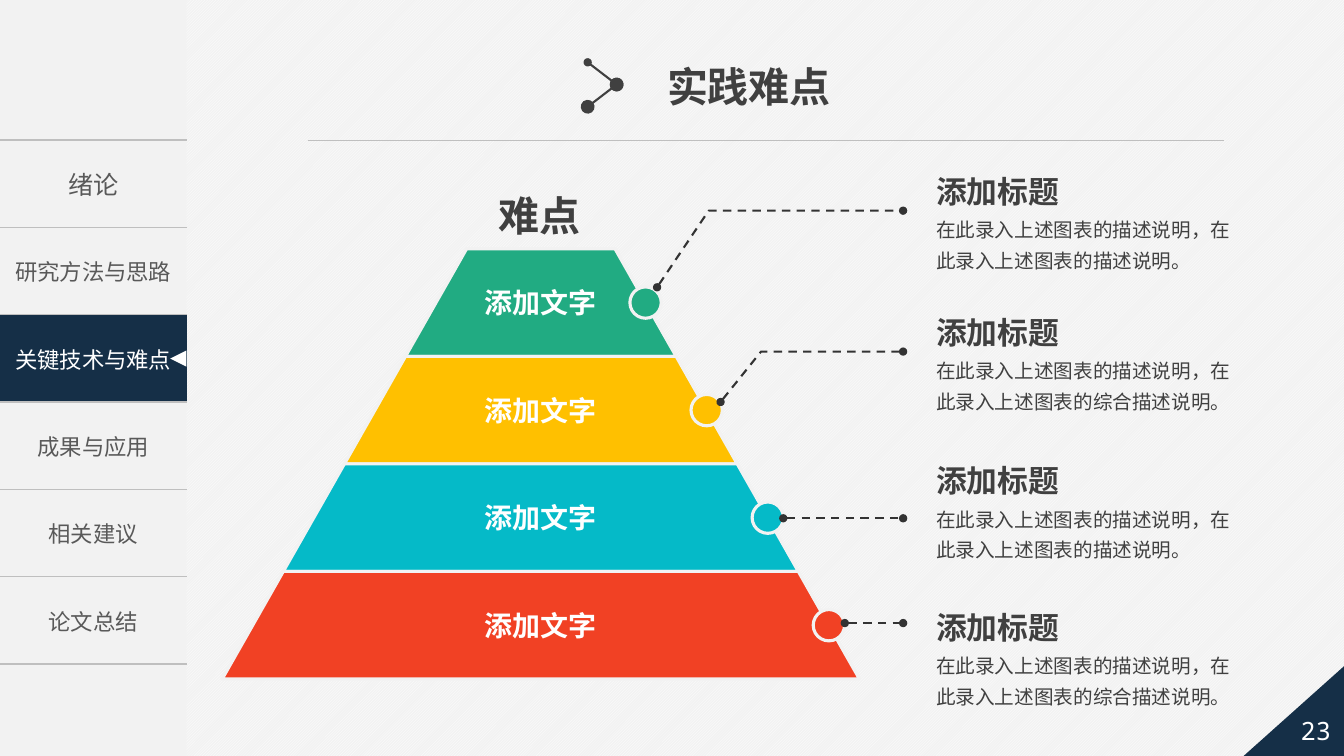
import pptx
import pptx.util
import pptx.dml.color
import pptx.enum.dml
import pptx.enum.shapes
import pptx.enum.text
import pptx.oxml
import pptx.oxml.ns

Cm, Pt = pptx.util.Cm, pptx.util.Pt
Kind = pptx.enum.shapes.MSO_SHAPE
Align = pptx.enum.text.PP_ALIGN
Middle = pptx.enum.text.MSO_ANCHOR.MIDDLE

# Content (lengths in cm)
HAN, MONO = "Noto Sans CJK SC", "Noto Sans Mono"
NAVY, PALE, WHITE, GREY, INK = "152F47", "F2F2F2", "FFFFFF", "BFBFBF", "404040"
MENU = ["绪论", "研究方法与思路", "关键技术与难点", "成果与应用", "相关建议", "论文总结"]
ACTIVE = 2
HEADS = [("实践难点", 16.56, 1.42, 4.7), ("难点", 12.32, 4.67, 2.62)]
LEVELS = [("添加文字", "21AB82"), ("添加文字", "FFC000"),
          ("添加文字", "05BAC8"), ("添加文字", "F14124")]
SHORT = "在此录入上述图表的描述说明，在此录入上述图表的描述说明。"
LONG = "在此录入上述图表的描述说明，在此录入上述图表的综合描述说明。"
NOTES = [("添加标题", SHORT, 4.22), ("添加标题", LONG, 7.77),
         ("添加标题", SHORT, 11.51), ("添加标题", LONG, 15.21)]
END = 22.76
LEADERS = [[(16.56, 7.24), (17.86, 5.31), (END, 5.31)],
           [(18.16, 10.13), (19.18, 8.86), (END, 8.86)],
           [(19.74, 13.06), (END, 13.06)],
           [(21.29, 15.7), (END, 15.7)]]
ICON = [(14.81, 1.57), (15.54, 2.13), (14.81, 2.69)]
SIDE, TOP, ROW = 4.7, 3.53, 2.2
MID, PEAK, STEP, HALF, GROW, DOT = 13.63, 6.27, 2.71, 1.87, 1.54, 0.79

deck = pptx.Presentation()
deck.slide_width, deck.slide_height = Cm(33.87), Cm(19.05)
page = deck.slides.add_slide(deck.slide_layouts[6])
shapes = page.shapes


# Helpers
def hue(code):
    return pptx.dml.color.RGBColor.from_string(code)


def node(xml):
    return pptx.oxml.parse_xml(xml.replace(">", " " + pptx.oxml.ns.nsdecls("a") + ">", 1))


def write(frame, text, size, color, bold=False, font=HAN, align=Align.LEFT, gap=None):
    para = frame.paragraphs[0]
    para.alignment = align
    if gap:
        para.line_spacing = gap
    run = para.add_run()
    run.text = text
    run.font.size, run.font.bold, run.font.name = Pt(size), bold, font
    run.font.color.rgb = hue(color)
    run.font._element.append(node(f'<a:ea typeface="{HAN}"></a:ea>'))


def label(x, y, w, h, text, size, color, wrap=True, inset=(0.25, 0.13), **style):
    frame = shapes.add_textbox(Cm(x), Cm(y), Cm(w), Cm(h)).text_frame
    frame.word_wrap = wrap
    frame.margin_left = frame.margin_right = Cm(inset[0])
    frame.margin_top = frame.margin_bottom = Cm(inset[1])
    write(frame, text, size, color, **style)
    return frame


def paint(shape, fill=None, line=None, width=2.25):
    shape.shadow.inherit = False
    if fill:
        shape.fill.solid()
        shape.fill.fore_color.rgb = hue(fill)
    else:
        shape.fill.background()
    if line:
        shape.line.color.rgb = hue(line)
        shape.line.width = Pt(width)
    else:
        shape.line.fill.background()
    return shape


def block(kind, x, y, w, h, fill, line=None):
    return paint(shapes.add_shape(kind, Cm(x), Cm(y), Cm(w), Cm(h)), fill, line)


def trace(points, close):
    first, *rest = [(Cm(x), Cm(y)) for x, y in points]
    pen = shapes.build_freeform(*first, scale=1.0)
    pen.add_line_segments(rest, close=close)
    return pen.convert_to_shape()


def link(start, end, color, width):
    line = shapes.add_connector(pptx.enum.shapes.MSO_CONNECTOR.STRAIGHT,
                                *[Cm(v) for v in start + end])
    line.line.color.rgb = hue(color)
    line.line.width = Pt(width)
    line._element.spPr.append(node("<a:effectLst></a:effectLst>"))
    return line


def cap(shape, head="med", tail="med"):
    ln = shape.line._get_or_add_ln()
    for tag, size in (("headEnd", head), ("tailEnd", tail)):
        ln.append(node(f'<a:{tag} type="oval" w="{size}" len="{size}"></a:{tag}>'))


# Background and sidebar
back = page.background.fill
back.patterned()
back.pattern = pptx.enum.dml.MSO_PATTERN.LIGHT_UPWARD_DIAGONAL
back.fore_color.rgb, back.back_color.rgb = hue(WHITE), hue(PALE)
block(Kind.RECTANGLE, 0, 0, SIDE, 19.05, PALE)

# Menu table
menu = shapes.add_table(len(MENU), 1, 0, Cm(TOP), Cm(SIDE), Cm(ROW * len(MENU))).table
menu.first_row = menu.horz_banding = False
rule = f'<a:solidFill><a:srgbClr val="{GREY}"/></a:solidFill>'
for i, name in enumerate(MENU):
    cell = menu.cell(i, 0)
    cell.vertical_anchor = Middle
    props = cell._tc.get_or_add_tcPr()
    for side in "LRTB":
        ink = rule if side in "TB" else "<a:noFill/>"
        props.append(node(f'<a:ln{side} w="12700">{ink}</a:ln{side}>'))
    if i == ACTIVE:
        cell.fill.solid()
        cell.fill.fore_color.rgb = hue(NAVY)
    else:
        cell.fill.background()
    write(cell.text_frame, name, 16 if i else 18,
          WHITE if i == ACTIVE else "595959", align=Align.CENTER)
mark = block(Kind.ISOSCELES_TRIANGLE, SIDE - 0.41, TOP + ROW * (ACTIVE + 0.5) - 0.2,
             0.41, 0.41, WHITE)
mark.rotation = 270

# Header rule and page corner
link((7.75, TOP), (30.84, TOP), GREY, 0.5)
fold = block(Kind.RIGHT_TRIANGLE, 31.32, 16.71, 2.64, 2.36, NAVY)
fold._element.spPr.xfrm.set("flipH", "1")
label(32.46, 17.7, 1.4, 1.4, "23", 18, WHITE, wrap=False, inset=(0, 0.13),
      font=MONO, align=Align.CENTER).vertical_anchor = Middle

# Pyramid bands, then their labels and dots
for i, (text, color) in enumerate(LEVELS):
    y, a, b = PEAK + STEP * i, HALF + GROW * i, HALF + GROW * (i + 1)
    band = trace([(MID - a, y), (MID - b, y + STEP), (MID + b, y + STEP), (MID + a, y)], True)
    paint(band, color, PALE)
for i, (text, color) in enumerate(LEVELS):
    y, edge = PEAK + STEP * (i + 0.5), MID + HALF + GROW * (i + 0.5)
    label(MID - 2.6, y - 0.51, 5.2, 1.02, text, 20, WHITE, inset=(0.18, 0.08),
          bold=True, align=Align.CENTER)
    block(Kind.OVAL, edge - DOT / 2, y - DOT / 2, DOT, DOT, color, PALE)

# Leaders and notes
for points in LEADERS:
    if len(points) > 2:
        lead = paint(trace(points, False), None, "333333", 1.5)
    else:
        lead = link(*points, "333333", 1.5)
    lead.line.dash_style = pptx.enum.dml.MSO_LINE.DASH
    cap(lead)
for title, body, y in NOTES:
    label(23.34, y, 3.66, 1.19, title, 22, INK, wrap=False, bold=True)
    label(23.34, y + 0.97, 8.28, 1.73, body, 14, INK, gap=1.3)

# Headings and icon
for text, x, y, w in HEADS:
    label(x, y, w, 1.5, text, 29.3, INK, wrap=False, bold=True, font="Arial")
for start, end, head in zip(ICON, ICON[1:], ("med", "lg")):
    cap(link(start, end, INK, 1.5), head, "lg")

deck.save("out.pptx")
